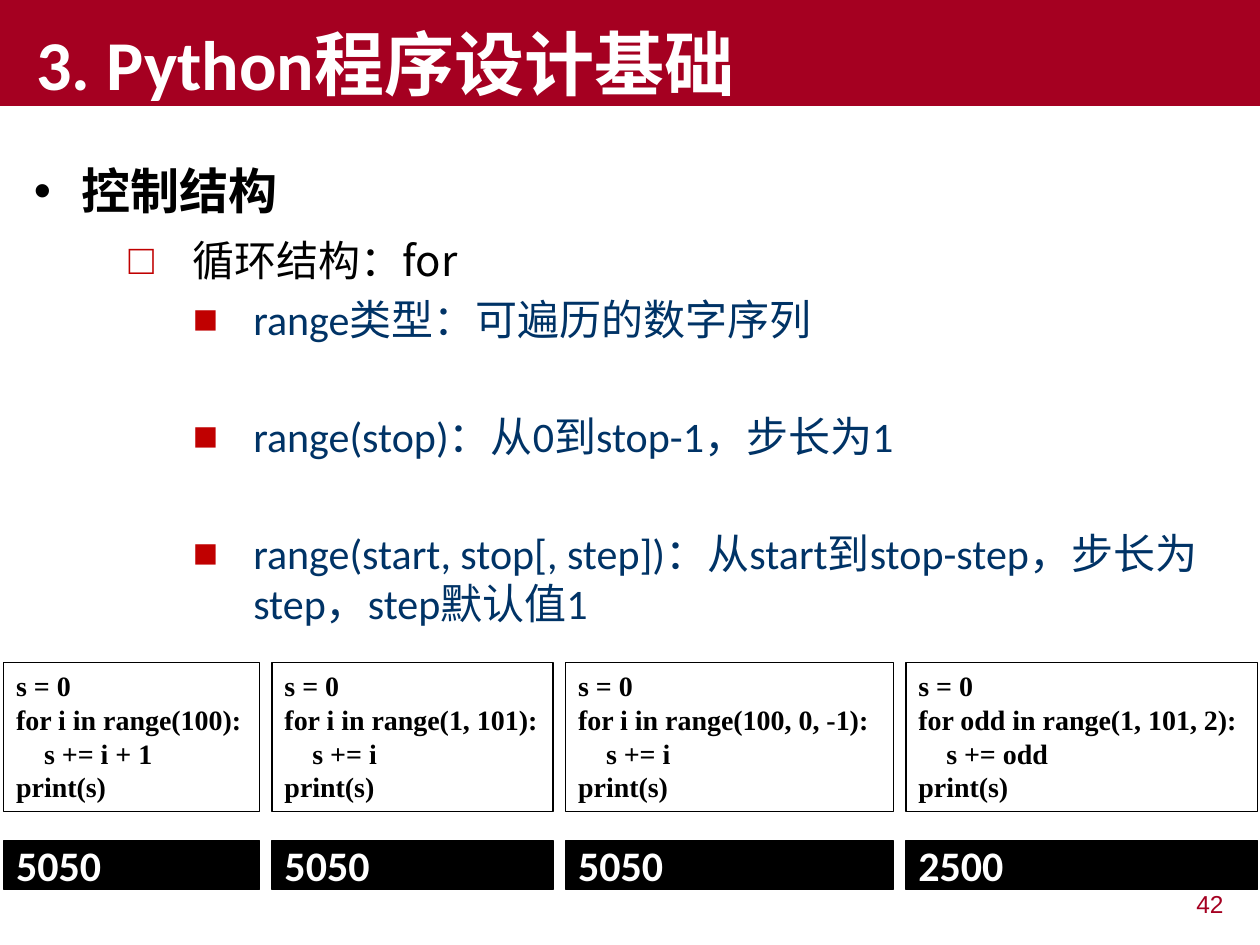
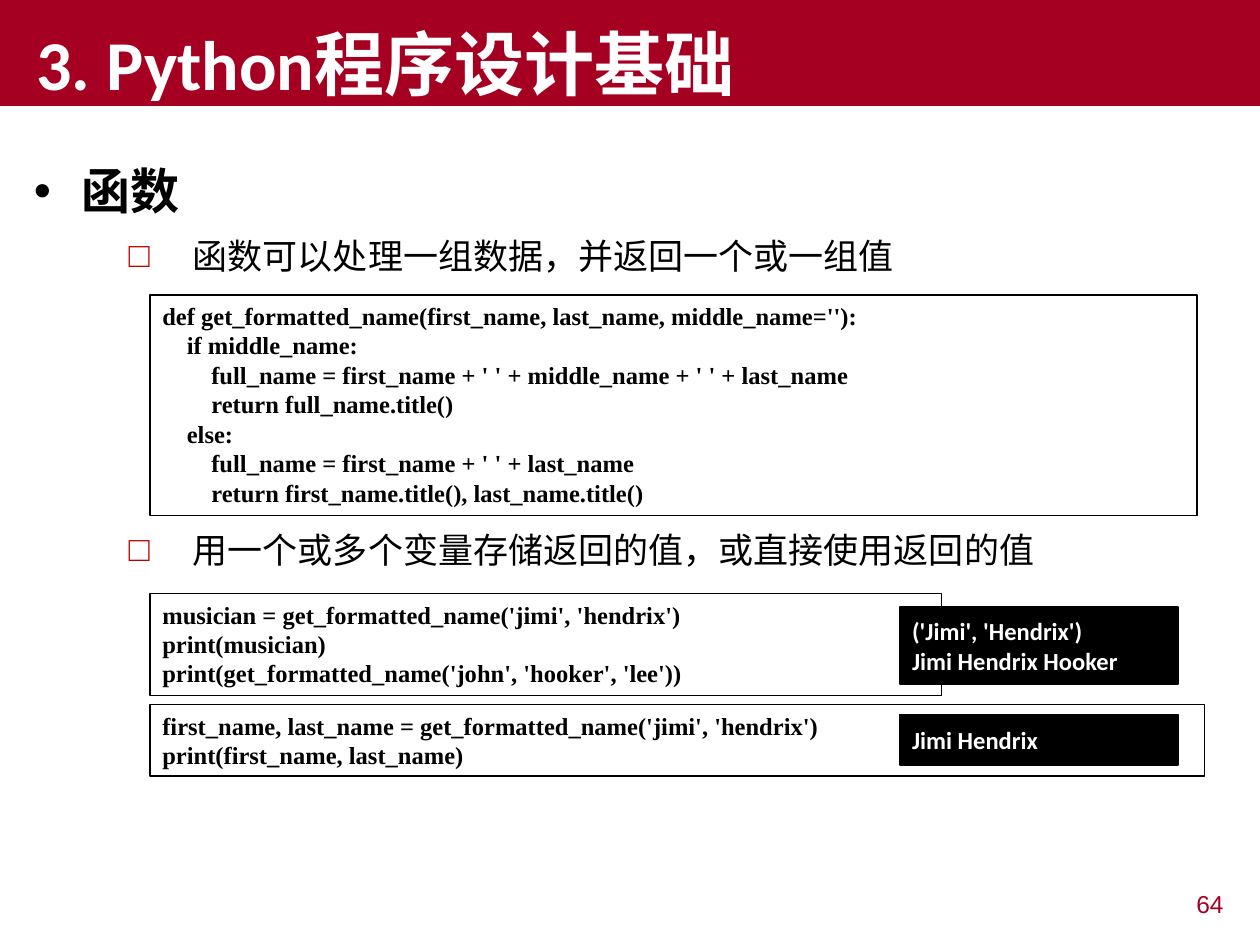
from lxml import etree
from pptx import Presentation
from pptx import util as u
from pptx.dml.color import RGBColor
from pptx.enum import shapes, text
from pptx.oxml.ns import qn

RED, BULLET, NAVY = "A50021", "C00000", "003366"
BLACK, WHITE = "000000", "FFFFFF"
LATIN, HAN, CODE, NUMBER = "Calibri", "Noto Sans CJK SC", "Times New Roman", "Arial"
TITLE = "3. Python程序设计基础"


def rgb(value):
    """Turn a hex string into a colour."""
    return RGBColor.from_string(value)


class Course:
    """Holds the lecture style and the slide being filled."""

    def __init__(self):
        """Open an empty 10 by 7.5 inch deck."""
        self.deck = Presentation()
        self.deck.slide_width, self.deck.slide_height = u.Inches(10), u.Inches(7.5)
        self.page = None

    def place(self, box, left, top, width, height):
        """Move and size a box."""
        box.left, box.top = u.Inches(left), u.Inches(top)
        box.width, box.height = u.Inches(width), u.Inches(height)

    def frame(self, box, anchor=text.MSO_ANCHOR.TOP):
        """Prepare the text frame of a box."""
        frame = box.text_frame
        frame.word_wrap = True
        frame.auto_size = text.MSO_AUTO_SIZE.NONE
        frame.vertical_anchor = anchor
        return frame

    def style(self, para, size, face, colour, bold=False, align=text.PP_ALIGN.LEFT):
        """Format a paragraph and its runs."""
        para.alignment = align
        for span in para.runs:
            font = span.font
            font.size, font.name, font.bold = u.Pt(size), face, bold
            font.color.rgb = rgb(colour)
            etree.SubElement(font._element, qn("a:ea")).set("typeface", face)

    def indent(self, para, margin, first):
        """Set left margin and first-line indent."""
        props = para._p.get_or_add_pPr()
        props.set("marL", str(u.Inches(margin)))
        props.set("indent", str(u.Inches(first)))
        return props

    def bullet(self, para, mark, colour, margin, hang):
        """Give a paragraph a coloured hanging bullet."""
        props = self.indent(para, margin, -hang)
        paint = etree.SubElement(props, qn("a:buClr"))
        etree.SubElement(paint, qn("a:srgbClr")).set("val", colour)
        etree.SubElement(props, qn("a:buFont")).set("typeface", NUMBER)
        etree.SubElement(props, qn("a:buChar")).set("char", mark)

    def start(self, heading, number):
        """Add a page with title band, heading and page number."""
        self.page = self.deck.slides.add_slide(self.deck.slide_layouts[1])
        title = self.page.shapes.title
        self.place(title, 0, 0, 10, 0.84)
        title.fill.solid()
        title.fill.fore_color.rgb = rgb(RED)
        frame = self.frame(title, text.MSO_ANCHOR.BOTTOM)
        frame.margin_bottom = u.Inches(0.01)
        frame.text = TITLE
        self.indent(frame.paragraphs[0], 0, 0.19)
        self.style(frame.paragraphs[0], 40, LATIN, WHITE, True)

        para = self.label(heading, 0.17, 1.19, 9.39, 0.57)
        self.bullet(para, "•", BLACK, 0.38, 0.38)
        para.line_spacing = u.Pt(28 * 1.3)
        self.style(para, 28, HAN, BLACK, True)

        para = self.label(number, 7.64, 7.01, 2.17, 0.39)
        self.style(para, 14, NUMBER, RED, align=text.PP_ALIGN.RIGHT)

    def label(self, words, *area):
        """Add a one-paragraph text box and return its paragraph."""
        box = self.page.shapes.add_textbox(0, 0, 0, 0)
        self.place(box, *area)
        frame = self.frame(box)
        frame.text = words
        return frame.paragraphs[0]

    def outline(self, height, size, items):
        """Fill the body with (level, space before, words) items."""
        body = self.page.placeholders[1]
        self.place(body, 0.92, 1.78, 9.02, height)
        frame = self.frame(body)
        frame.text = "\n".join(words for _, _, words in items)
        for para, (level, before, _) in zip(frame.paragraphs, items):
            para.level = level
            para.space_before = u.Pt(before)
            if level:
                self.bullet(para, "■", BULLET, 0.99, 0.48)
                self.style(para, size, LATIN, NAVY)
            else:
                self.bullet(para, "□", BULLET, 0.51, 0.51)
                para.line_spacing = u.Pt(size * 1.3)
                self.style(para, size, HAN, BLACK)

    def panel(self, words, area, line, anchor):
        """Add a black-edged rectangle with text."""
        box = self.page.shapes.add_shape(shapes.MSO_SHAPE.RECTANGLE, 0, 0, 0, 0)
        self.place(box, *area)
        box.shadow.inherit = False
        box.fill.background()
        box.line.color.rgb = rgb(BLACK)
        box.line.width = u.Pt(line)
        self.frame(box, anchor).text = words
        return box

    def code(self, words, area, size):
        """Add a code listing."""
        box = self.panel(words, area, 0.75, text.MSO_ANCHOR.TOP)
        for para in box.text_frame.paragraphs:
            para.line_spacing = u.Pt(size * 1.2)
            self.style(para, size, CODE, BLACK, True)

    def output(self, words, area, size):
        """Add a black console result."""
        box = self.panel(words, area, 1, text.MSO_ANCHOR.MIDDLE)
        box.fill.solid()
        box.fill.fore_color.rgb = rgb(BLACK)
        for para in box.text_frame.paragraphs:
            self.style(para, size, LATIN, WHITE, True)


def loops(course):
    """Build the page on for loops."""
    course.start("控制结构", "42")
    course.outline(3.36, 24, [
        (0, 0, "循环结构：for"),
        (1, 4.8, "range类型：可遍历的数字序列"),
        (1, 38, "range(stop)：从0到stop-1，步长为1"),
        (1, 38, "range(start, stop[, step])：从start到stop-step，步长为step，step默认值1"),
    ])
    examples = [
        (2.03, "i", "100", "i + 1", "5050"),
        (2.23, "i", "1, 101", "i", "5050"),
        (2.6, "i", "100, 0, -1", "i", "5050"),
        (2.79, "odd", "1, 101, 2", "odd", "2500"),
    ]
    left = 0.03
    for width, name, limits, term, result in examples:
        listing = f"s = 0\nfor {name} in range({limits}):\n    s += {term}\nprint(s)"
        course.code(listing, (left, 5.26, width, 1.18), 16)
        course.output(result, (left, 6.67, width, 0.39), 24)
        left += width + 0.1


def functions(course):
    """Build the page on functions."""
    course.start("函数", "64")
    course.outline(4.31, 20, [
        (0, 0, "函数可以处理一组数据，并返回一个或一组值"),
        (0, 142, "用一个或多个变量存储返回的值，或直接使用返回的值"),
    ])
    definition = """def get_formatted_name(first_name, last_name, middle_name=''):
    if middle_name:
        full_name = first_name + ' ' + middle_name + ' ' + last_name
        return full_name.title()
    else:
        full_name = first_name + ' ' + last_name
        return first_name.title(), last_name.title()"""
    single = """musician = get_formatted_name('jimi', 'hendrix')
print(musician)
print(get_formatted_name('john', 'hooker', 'lee'))"""
    double = """first_name, last_name = get_formatted_name('jimi', 'hendrix')
print(first_name, last_name)"""
    course.code(definition, (1.19, 2.34, 8.31, 1.75), 14)
    course.code(single, (1.19, 4.71, 6.28, 0.81), 14)
    course.output("('Jimi', 'Hendrix')\nJimi Hendrix Hooker", (7.14, 4.82, 2.21, 0.61), 14)
    course.code(double, (1.19, 5.59, 8.37, 0.57), 14)
    course.output("Jimi Hendrix", (7.14, 5.67, 2.21, 0.4), 14)


def main():
    """Build and save the deck."""
    course = Course()
    loops(course)
    functions(course)
    course.deck.save("out.pptx")


if __name__ == "__main__":
    main()
